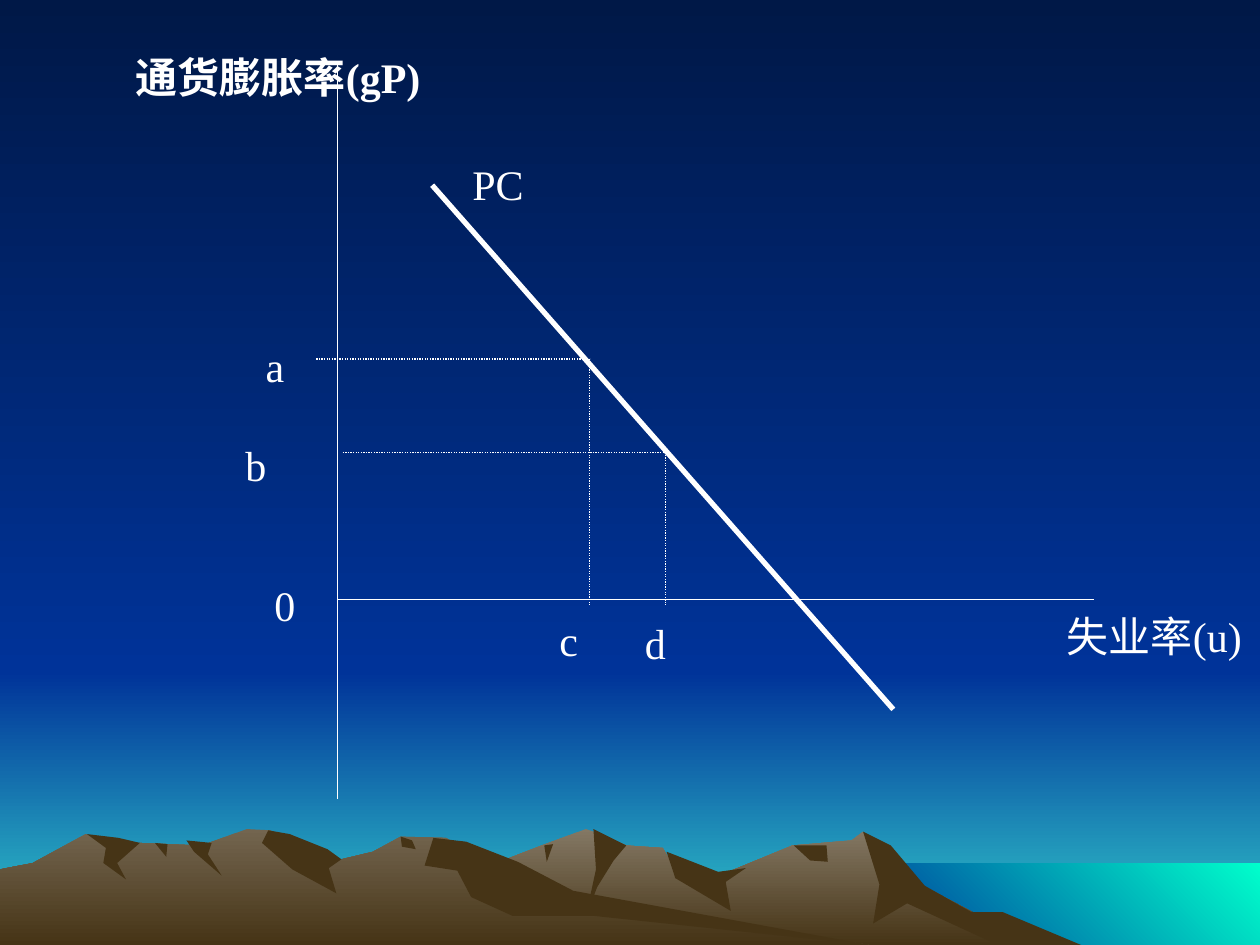
"""Build a slide with a Phillips curve above a mountain landscape."""
from lxml import etree
from pptx import Presentation
from pptx import util as u
from pptx.dml.color import RGBColor
from pptx.enum import dml, shapes, text
from pptx.oxml.ns import qn

ROCK = "463416"
NIGHT, BLUE = "001847", "003399"
WIDTH, HEIGHT = 10, 7.5
HORIZON, SHORE = 5.33, 6.85
ORIGIN_X, ORIGIN_Y = 2.68, 4.76

RIGHT_RIDGE = [
    (2.58, 7.5), (3.27, 7.09), (3.94, 6.85), (4.3, 6.71), (4.65, 6.58), (4.74, 6.61),
    (4.97, 6.71), (5.26, 6.73), (5.36, 6.9), (5.66, 6.97), (6.29, 6.71), (6.76, 6.67),
    (6.85, 6.6), (7.23, 6.98), (8.21, 7.5)]
RIGHT_SHADOWS = [
    [(6.85, 6.6), (7.07, 6.71), (7.34, 7.03), (7.71, 7.24), (7.96, 7.24), (8.58, 7.5),
     (7.92, 7.5), (7.2, 7.17), (6.93, 7.33), (6.98, 7.02)],
    [(4.71, 6.58), (4.97, 6.71), (4.87, 6.83), (4.74, 7.04), (4.65, 7.27), (4.73, 6.9)],
    [(5.29, 6.76), (5.7, 6.92), (5.92, 6.89), (5.76, 7), (5.8, 7.23), (5.36, 6.97)],
    [(6.3, 6.71), (6.56, 6.71), (6.57, 6.84), (6.43, 6.83)],
    [(4.32, 6.71), (4.39, 6.7), (4.34, 6.84)],
]
LEFT_RIDGE = [
    (0, 7.5), (0, 6.9), (0.26, 6.85), (0.68, 6.62), (0.94, 6.71), (1.11, 6.69),
    (1.6, 6.71), (1.96, 6.58), (2.15, 6.59), (2.36, 6.81), (2.71, 6.82), (2.96, 6.76),
    (3.18, 6.64), (3.54, 6.65), (4.32, 7.12), (6.9, 7.5)]
LEFT_SHADOWS = [
    [(2.13, 6.59), (2.3, 6.62), (2.6, 6.74), (2.71, 6.82), (2.61, 6.89), (2.67, 7.09),
     (2.32, 6.9), (2.08, 6.69)],
    [(3.44, 6.65), (3.7, 6.68), (4.11, 6.84), (4.55, 7.07), (6.9, 7.5), (4.72, 7.27),
     (4.07, 7.27), (3.74, 7.12), (3.63, 6.91), (3.37, 6.87)],
    [(3.18, 6.64), (3.27, 6.67), (3.3, 6.74), (3.19, 6.72)],
    [(1.48, 6.67), (1.68, 6.69), (1.65, 6.78), (1.76, 6.95), (1.54, 6.76)],
    [(1.23, 6.69), (1.33, 6.7), (1.32, 6.8)],
    [(0.69, 6.62), (0.94, 6.65), (1.11, 6.69), (0.93, 6.85), (1, 6.98), (0.82, 6.85),
     (0.84, 6.73)],
]

GUIDES = [(2.51, 4.68, 2.85), (2.72, 5.28, 3.59)]
LABELS = [
    ("失业率(u)", 8.37, 4.8, 1.67),
    ("0", 2.08, 4.55, 0.36),
    ("PC", 3.65, 1.21, 0.61),
    ("a", 2.01, 2.65, 0.39),
    ("b", 1.85, 3.44, 0.36),
    ("c", 4.34, 4.83, 0.35),
    ("d", 5.02, 4.85, 0.36),
]


def color(value):
    return RGBColor.from_string(value)


class Painter:
    """Hold the style and the current slide, and draw each kind of element."""
    font = "Times New Roman"
    size = 24
    ink = "FFFFFF"

    def __init__(self, page):
        self.page = page

    def gradient(self, fill, start, end, angle=90):
        fill.gradient()
        fill.gradient_angle = (360 - angle) % 360
        for stop, value in zip(fill.gradient_stops, (start, end)):
            stop.color.rgb = color(value)

    def outline(self, points):
        corners = [(u.Inches(x), u.Inches(y)) for x, y in points]
        builder = self.page.shapes.build_freeform(*corners[0])
        builder.add_line_segments(corners[1:], close=True)
        shape = builder.convert_to_shape()
        shape.shadow.inherit = False
        shape.line.fill.background()
        return shape

    def band(self, left, top, bottom, start, end, angle=90):
        corners = [(left, top), (WIDTH, top), (WIDTH, bottom), (left, bottom)]
        self.gradient(self.outline(corners).fill, start, end, angle)

    def mountains(self, ridge, shadows, light):
        self.gradient(self.outline(ridge).fill, light, ROCK)
        for points in shadows:
            fill = self.outline(points).fill
            fill.solid()
            fill.fore_color.rgb = color(ROCK)

    def line(self, start, end, width=0.75, dash=None):
        ends = [u.Inches(value) for value in (*start, *end)]
        connector = self.page.shapes.add_connector(shapes.MSO_CONNECTOR.STRAIGHT, *ends)
        connector.line.color.rgb = color(self.ink)
        connector.line.width = u.Pt(width)
        if dash:
            connector.line.dash_style = dash
        etree.SubElement(connector.element.spPr, qn("a:effectLst"))

    def label(self, words, left, top, width, bold=False):
        box = self.page.shapes.add_textbox(*map(u.Inches, (left, top, width, 0.5)))
        frame = box.text_frame
        frame.word_wrap = False
        frame.auto_size = text.MSO_AUTO_SIZE.SHAPE_TO_FIT_TEXT
        para = frame.paragraphs[0]
        para.text = words
        para.font.name = self.font
        para.font.size = u.Pt(self.size)
        para.font.bold = bold
        para.font.color.rgb = color(self.ink)


def main():
    deck = Presentation()
    deck.slide_width, deck.slide_height = u.Inches(WIDTH), u.Inches(HEIGHT)
    page = deck.slides.add_slide(deck.slide_layouts[6])
    painter = Painter(page)
    painter.gradient(page.background.fill, NIGHT, BLUE)
    painter.band(0, HORIZON, HEIGHT, BLUE, "33CCCC")
    painter.band(0, 0, HORIZON, NIGHT, BLUE)
    painter.band(6.83, SHORE, HEIGHT, BLUE, "00FFCC", 315)
    painter.mountains(RIGHT_RIDGE, RIGHT_SHADOWS, "847864")
    painter.mountains(LEFT_RIDGE, LEFT_SHADOWS, "73654F")

    painter.line((ORIGIN_X, ORIGIN_Y), (8.68, ORIGIN_Y))
    painter.line((ORIGIN_X, 6.34), (ORIGIN_X, 0.51))
    painter.line((3.43, 1.47), (7.09, 5.63), width=3)
    for left, x, y in GUIDES:
        painter.line((left, y), (x, y), dash=dml.MSO_LINE.ROUND_DOT)
        painter.line((x, y), (x, 4.8), dash=dml.MSO_LINE.ROUND_DOT)
    painter.label("通货膨胀率(gP)", 0.98, 0.36, 2.54, bold=True)
    for label in LABELS:
        painter.label(*label)
    deck.save("out.pptx")


if __name__ == "__main__":
    main()
